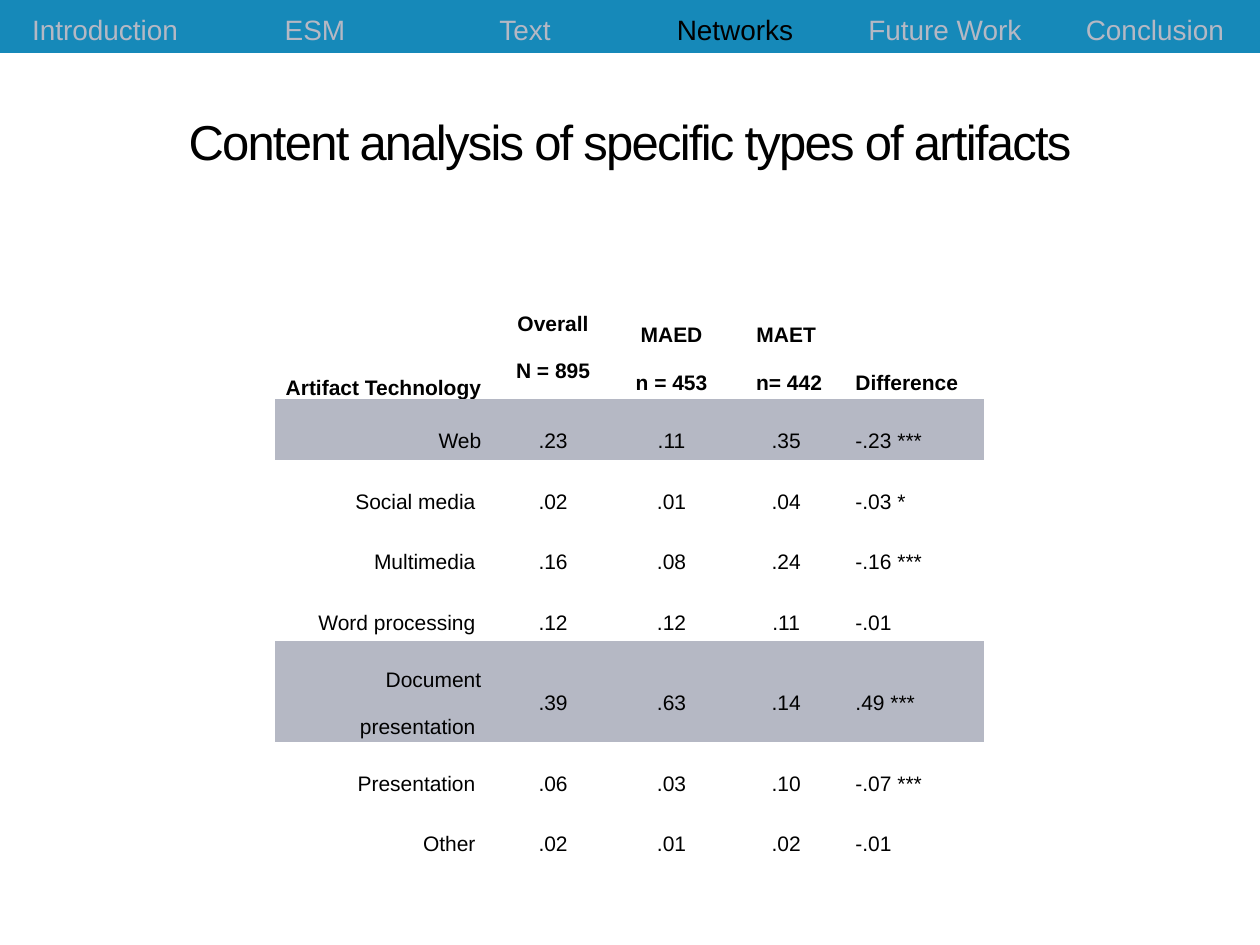
"""Build the slide on content analysis of artifact types."""
import pptx
import pptx.dml.color
import pptx.enum.shapes
import pptx.enum.text
import pptx.oxml.ns
import pptx.util

Inches = pptx.util.Inches
ALIGN = pptx.enum.text.PP_ALIGN
ANCHOR = pptx.enum.text.MSO_ANCHOR

BLUE, GREY, BLACK = "1689B9", "B5B8C4", "000000"
PLAIN_TABLE_STYLE = "{2D5ABB26-0587-4C30-8999-92F81FD0307C}"

SECTIONS = ["Introduction", "ESM", "Text", "Networks", "Future Work", "Conclusion"]
CURRENT_SECTION = "Networks"

HEADINGS = ["Artifact Technology", "Overall\nN = 895", "MAED\nn = 453",
            "MAET\n n= 442", "Difference"]
HEADING_ANCHORS = [ANCHOR.BOTTOM, ANCHOR.TOP] + [ANCHOR.BOTTOM] * 3
RESULTS = [
    ["Web", ".23", ".11", ".35", "-.23 ***"],
    ["Social media ", ".02", ".01", ".04", "-.03 *"],
    ["Multimedia ", ".16", ".08", ".24", "-.16 ***"],
    ["Word processing ", ".12", ".12", ".11", "-.01"],
    ["Document presentation ", ".39", ".63", ".14", ".49 ***"],
    ["Presentation ", ".06", ".03", ".10", "-.07 ***"],
    ["Other ", ".02", ".01", ".02", "-.01"],
]
HIGHLIGHTED = {"Web", "Document presentation "}
COLUMN_WIDTHS = [1.71, 1, 0.88, 0.94, 1.1]
COLUMN_ALIGNS = [ALIGN.RIGHT, ALIGN.CENTER, ALIGN.CENTER, ALIGN.CENTER, ALIGN.LEFT]
COLUMN_INSETS = [(0.07, 0)] * 2 + [(0.08, 0.04)] * 3
ROW_HEIGHTS = [0.83] + [0.45] * 4 + [0.74] + [0.45] * 2


def color(hex_code):
    """Return the colour for a hex string."""
    return pptx.dml.color.RGBColor.from_string(hex_code)


def write(frame, text, size=12, ink=BLACK, bold=False, align=ALIGN.CENTER,
          line_spacing=None, gap=None, tracking=None):
    """Write one formatted paragraph for each line of text."""
    frame.word_wrap = True
    for index, line in enumerate(text.split("\n")):
        paragraph = frame.paragraphs[0] if index == 0 else frame.add_paragraph()
        paragraph.alignment = align
        if line_spacing is not None:
            paragraph.line_spacing = line_spacing
        if gap is not None:
            paragraph.space_before = paragraph.space_after = pptx.util.Pt(gap)
        run = paragraph.add_run()
        run.text = line
        run.font.name = "Arial"
        run.font.size = pptx.util.Pt(size)
        run.font.bold = bold
        run.font.color.rgb = color(ink)
        if tracking is not None:
            run.font._element.set("spc", str(tracking * 100))


def fill_cell(cell, text, fill=None, anchor=ANCHOR.MIDDLE, insets=None, **text_format):
    """Fill a table cell with colour and text."""
    if fill:
        cell.fill.solid()
        cell.fill.fore_color.rgb = color(fill)
    else:
        cell.fill.background()
    cell.vertical_anchor = anchor
    if insets:
        side, end = insets
        cell.margin_left = cell.margin_right = Inches(side)
        cell.margin_top = cell.margin_bottom = Inches(end)
    write(cell.text_frame, text, **text_format)


def add_plain_table(slide, left, top, widths, heights):
    """Add a table without style, sized by its columns and rows."""
    table = slide.shapes.add_table(
        len(heights), len(widths), Inches(left), Inches(top),
        Inches(sum(widths)), Inches(sum(heights))).table
    table.first_row = table.horz_banding = False
    style = table._tbl.tblPr.find(pptx.oxml.ns.qn("a:tableStyleId"))
    style.text = PLAIN_TABLE_STYLE
    for column, width in zip(table.columns, widths):
        column.width = Inches(width)
    for row, height in zip(table.rows, heights):
        row.height = Inches(height)
    return table


def add_banner(slide):
    """Add the blue band across the top."""
    banner = slide.shapes.add_shape(
        pptx.enum.shapes.MSO_SHAPE.RECTANGLE, 0, 0, Inches(10), Inches(0.4))
    banner.shadow.inherit = False
    banner.fill.solid()
    banner.fill.fore_color.rgb = color(BLUE)
    banner.line.fill.background()


def add_title(slide, text):
    """Add the slide title."""
    title = slide.shapes.add_textbox(Inches(0.5), Inches(0.58), Inches(9), Inches(1.08))
    title.text_frame.vertical_anchor = ANCHOR.MIDDLE
    write(title.text_frame, text, size=28, tracking=-1)


def add_navigation(slide):
    """Add the row of section names with the current one in black."""
    widths = [10 / len(SECTIONS)] * len(SECTIONS)
    navigation = add_plain_table(slide, 0, -0.03, widths, [0.45])
    for column, section in enumerate(SECTIONS):
        fill_cell(navigation.cell(0, column), section, fill=BLUE, anchor=ANCHOR.BOTTOM,
                  size=16, ink=BLACK if section == CURRENT_SECTION else GREY)


def add_results(slide):
    """Add the table of artifact shares by programme."""
    results = add_plain_table(slide, 2.18, 2.29, COLUMN_WIDTHS, ROW_HEIGHTS)
    for column, (align, insets) in enumerate(zip(COLUMN_ALIGNS, COLUMN_INSETS)):
        shared = {"align": align, "insets": insets, "line_spacing": 2.0}
        fill_cell(results.cell(0, column), HEADINGS[column],
                  anchor=HEADING_ANCHORS[column], bold=True, **shared)
        for row, values in enumerate(RESULTS, start=1):
            fill_cell(results.cell(row, column), values[column], gap=3,
                      fill=GREY if values[0] in HIGHLIGHTED else None, **shared)


def main():
    """Build and save the slide."""
    deck = pptx.Presentation()
    deck.slide_width, deck.slide_height = Inches(10), Inches(7.5)
    slide = deck.slides.add_slide(deck.slide_layouts[6])
    add_banner(slide)
    add_title(slide, "Content analysis of specific types of artifacts")
    add_navigation(slide)
    add_results(slide)
    deck.save("out.pptx")


if __name__ == "__main__":
    main()
